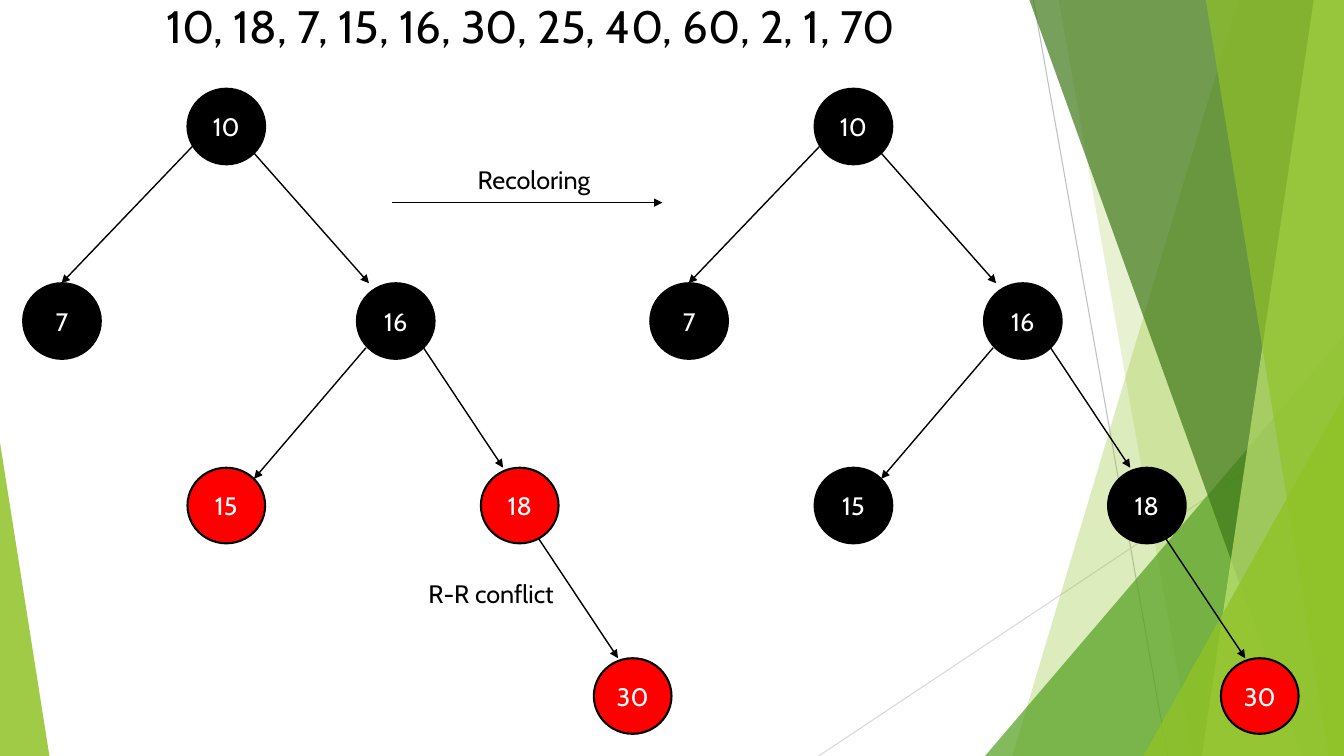
from lxml import etree
from pptx import Presentation
from pptx.dml.color import RGBColor
from pptx.enum.shapes import MSO_CONNECTOR, MSO_SHAPE
from pptx.enum.text import MSO_ANCHOR, PP_ALIGN
from pptx.oxml.ns import qn
from pptx.util import Inches, Pt

STRAIGHT = MSO_CONNECTOR.STRAIGHT
TRIANGLE = MSO_SHAPE.ISOSCELES_TRIANGLE
NODE = MSO_SHAPE.FLOWCHART_CONNECTOR
MIDDLE = MSO_ANCHOR.MIDDLE
CENTER = PP_ALIGN.CENTER

# Content
FONT = "Cabin"
BLACK, WHITE, RED = "000000", "FFFFFF", "FF0000"
WIDTH, HEIGHT = 13.33, 7.5
NODE_WIDTH, NODE_HEIGHT = 0.77, 0.75

# Captions: text, left, top, width, height, size
CAPTIONS = [
    ("10, 18, 7, 15, 16, 30, 25, 40, 60, 2, 1, 70", 1.55, -0.07, 9.4, 0.61, 32.4),
    ("R-R conflict", 4.15, 5.69, 1.59, 0.4, 18),
    ("Recoloring", 4.64, 1.58, 1.83, 0.4, 18),
]
RECOLORING_ARROW = ((3.89, 2.01), (6.57, 2.01))

# Tree: key -> left, top of its node; edges run from parent to child
TREE_NODES = {
    "10": (1.86, 0.88),
    "16": (3.54, 2.81),
    "7": (0.23, 2.81),
    "15": (1.86, 4.64),
    "18": (4.77, 4.64),
    "30": (5.89, 6.53),
}
TREE_EDGES = [
    ((2.52, 1.52), (3.66, 2.81)),
    ((1.93, 1.43), (0.61, 2.81)),
    ((3.63, 3.45), (2.52, 4.75)),
    ((4.2, 3.45), (4.99, 4.64)),
    ((5.34, 5.34), (6.13, 6.53)),
]
# Each tree: horizontal shift, red keys
TREES = [(0, {"15", "18", "30"}), (6.22, {"30"})]

# Background rays: from, to, colour
RAYS = [
    ((10.25, 0), (11.58, HEIGHT), "BFBFBF"),
    ((WIDTH, 4.03), (8.12, HEIGHT), "D9D9D9"),
]
# Bands reach the right edge: top left x, bottom left x, colour, opacity
# Wedges stand on the bottom edge: left, top, width, apex, colour, opacity
BACKDROP = [
    ("band", 12.28, 10.04, "90C226", 30),
    ("band", 10.5, 11.83, "90C226", 20),
    ("wedge", 9.77, 3.33, 3.56, 1, "54A021", 72),
    ("band", 10.21, 12.91, "3F7819", 70),
    ("band", 13.03, 11.92, "C0E474", 70),
    ("band", 11.96, 13.18, "90C226", 65),
    ("wedge", 11.34, 3.93, 1.99, 1, "90C226", 80),
    ("wedge", 0, 4.39, 0.49, 0, "90C226", 85),
]

prs = Presentation()
prs.slide_width, prs.slide_height = Inches(WIDTH), Inches(HEIGHT)
slide = prs.slides.add_slide(prs.slide_layouts[6])
shapes = slide.shapes


def color(hex_code):
    return RGBColor.from_string(hex_code)


def add_line(start, end, line_color, weight, arrow=False):
    points = [Inches(value) for value in (*start, *end)]
    line = shapes.add_connector(STRAIGHT, *points)
    line.line.color.rgb = color(line_color)
    line.line.width = Pt(weight)
    if arrow:
        head = etree.SubElement(line.line._get_or_add_ln(), qn("a:tailEnd"))
        head.set("type", "triangle")
    etree.SubElement(line._element.spPr, qn("a:effectLst"))


def fill_translucent(shape, fill_color, opacity):
    shape.shadow.inherit = False
    shape.line.fill.background()
    shape.fill.solid()
    shape.fill.fore_color.rgb = color(fill_color)
    tint = shape._element.spPr.find(".//" + qn("a:srgbClr"))
    etree.SubElement(tint, qn("a:alpha")).set("val", str(opacity * 1000))


def add_band(top_x, bottom_x, fill_color, opacity):
    corners = [(top_x, 0), (WIDTH, 0), (WIDTH, HEIGHT), (bottom_x, HEIGHT)]
    corners = [(Inches(x), Inches(y)) for x, y in corners]
    outline = shapes.build_freeform(*corners[0])
    outline.add_line_segments(corners[1:], close=True)
    fill_translucent(outline.convert_to_shape(), fill_color, opacity)


def add_wedge(left, top, width, apex, fill_color, opacity):
    wedge = shapes.add_shape(TRIANGLE, Inches(left), Inches(top),
                             Inches(width), Inches(HEIGHT - top))
    wedge.adjustments[0] = apex
    fill_translucent(wedge, fill_color, opacity)


def set_text(frame, text, size, text_color):
    frame.text = text
    font = frame.paragraphs[0].runs[0].font
    font.name, font.size = FONT, Pt(size)
    font.color.rgb = color(text_color)


def add_node(key, left, top, fill_color):
    node = shapes.add_shape(NODE, Inches(left), Inches(top),
                            Inches(NODE_WIDTH), Inches(NODE_HEIGHT))
    node.shadow.inherit = False
    node.fill.solid()
    node.fill.fore_color.rgb = color(fill_color)
    node.line.color.rgb = color(BLACK)
    node.line.width = Pt(1.5)
    set_text(node.text_frame, key, 18, WHITE)
    node.text_frame.vertical_anchor = MIDDLE
    node.text_frame.paragraphs[0].alignment = CENTER


# Background
for start, end, ray_color in RAYS:
    add_line(start, end, ray_color, 0.75)
for kind, *facet in BACKDROP:
    (add_band if kind == "band" else add_wedge)(*facet)

# Trees before and after recoloring
for shift, red_keys in TREES:
    for key, (left, top) in TREE_NODES.items():
        add_node(key, left + shift, top, RED if key in red_keys else BLACK)
    for (x1, y1), (x2, y2) in TREE_EDGES:
        add_line((x1 + shift, y1), (x2 + shift, y2), BLACK, 1, arrow=True)
add_line(*RECOLORING_ARROW, BLACK, 1, arrow=True)

# Sequence title and captions
for text, left, top, width, height, size in CAPTIONS:
    caption = shapes.add_textbox(Inches(left), Inches(top),
                                 Inches(width), Inches(height))
    caption.text_frame.word_wrap = True
    set_text(caption.text_frame, text, size, BLACK)

prs.save("out.pptx")
